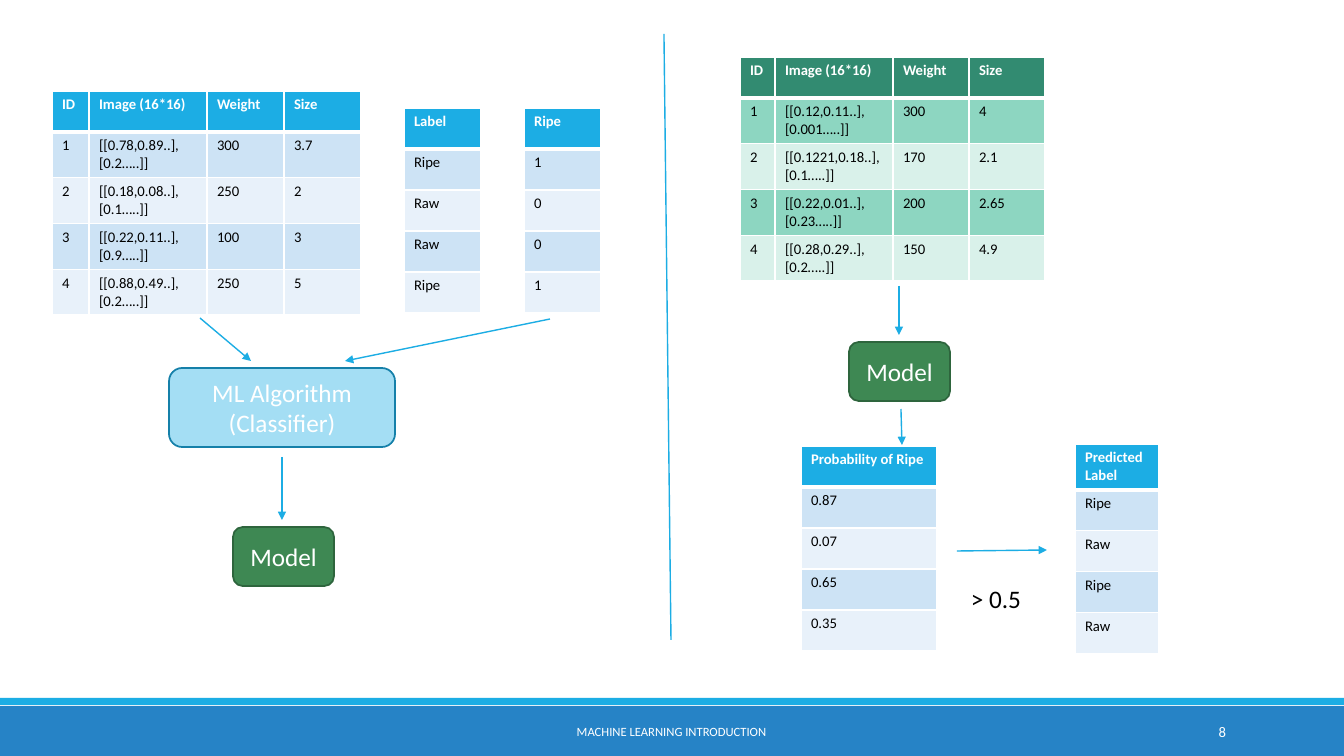
from lxml.etree import SubElement
from pptx import Presentation
from pptx.dml.color import RGBColor
from pptx.enum.shapes import MSO_CONNECTOR as Connector, MSO_SHAPE as Shape
from pptx.enum.text import MSO_ANCHOR as Anchor, PP_ALIGN as Align
from pptx.oxml.ns import qn
from pptx.util import Emu, Pt

WHITE = RGBColor(0xFF, 0xFF, 0xFF)
BLACK = RGBColor(0, 0, 0)
SKY = RGBColor(0x1C, 0xAD, 0xE4)
FOOTER_BLUE = RGBColor(0x26, 0x83, 0xC6)
PALE_SKY = RGBColor(0xA4, 0xDE, 0xF4)
DEEP_SKY = RGBColor(0x15, 0x80, 0xA9)
GREEN = RGBColor(0x3E, 0x88, 0x53)
DEEP_GREEN = RGBColor(0x2E, 0x65, 0x3D)
# Header, odd rows, even rows
BLUE_BANDS = (SKY, RGBColor(0xCD, 0xE3, 0xF5), RGBColor(0xE8, 0xF1, 0xFA))
GREEN_BANDS = (RGBColor(0x32, 0x8B, 0x71), RGBColor(0x8D, 0xD6, 0xC1), RGBColor(0xD9, 0xF1, 0xEA))

FEATURES = ("ID", "Image (16*16)", "Weight", "Size")
TRAINING = [
    FEATURES,
    ("1", "[[0.78,0.89..],\n[0.2…..]]", "300", "3.7"),
    ("2", "[[0.18,0.08..],\n[0.1…..]]", "250", "2"),
    ("3", "[[0.22,0.11..],\n[0.9…..]]", "100", "3"),
    ("4", "[[0.88,0.49..],\n[0.2…..]]", "250", "5"),
]
UNSEEN = [
    FEATURES,
    ("1", "[[0.12,0.11..],\n[0.001…..]]", "300", "4"),
    ("2", "[[0.1221,0.18..],\n[0.1…..]]", "170", "2.1"),
    ("3", "[[0.22,0.01..],\n[0.23…..]]", "200", "2.65"),
    ("4", "[[0.28,0.29..],\n[0.2…..]]", "150", "4.9"),
]
LABELS = [("Label",), ("Ripe",), ("Raw",), ("Raw",), ("Ripe",)]
RIPE_CODES = [("Ripe",), ("1",), ("0",), ("0",), ("1",)]
PROBABILITIES = [("Probability of Ripe",), ("0.87",), ("0.07",), ("0.65",), ("0.35",)]
PREDICTIONS = [("Predicted\nLabel",), ("Ripe",), ("Raw",), ("Ripe",), ("Raw",)]

# Rows, left, top, column widths, band colours
TABLES = [
    (TRAINING, 52, 91, (37, 118, 77, 77), BLUE_BANDS),
    (LABELS, 404, 108, (77,), BLUE_BANDS),
    (RIPE_CODES, 524, 108, (77,), BLUE_BANDS),
    (UNSEEN, 740, 57, (35, 118, 76, 76), GREEN_BANDS),
    (PROBABILITIES, 801, 446, (136,), BLUE_BANDS),
    (PREDICTIONS, 1075, 444, (84,), BLUE_BANDS),
]
# Text, left, top, width, height, fill, outline
STEPS = [
    ("ML Algorithm (Classifier)", 169, 368, 226, 79, PALE_SKY, DEEP_SKY),
    ("Model", 233, 527, 101, 59, GREEN, DEEP_GREEN),
    ("Model", 849, 342, 101, 59, GREEN, DEEP_GREEN),
]
# Start x, start y, end x, end y
ARROWS = [
    (200, 318, 251, 361),
    (550, 319, 345, 361),
    (282, 457, 282, 520),
    (899, 286, 899, 335),
    (901, 409, 902, 445),
    (957, 551, 1047, 550),
]
DIVIDER = (664, 34, 671, 640)
ROW_HEIGHT = 41


def px(length):
    return Emu(round(length * 914400 / 100.8))


def write(frame, text, size=10.5, color=WHITE, bold=False, align=Align.LEFT, anchor=Anchor.TOP):
    frame.text = text
    frame.word_wrap = True
    frame.vertical_anchor = anchor
    for paragraph in frame.paragraphs:
        paragraph.alignment = align
        font = paragraph.font
        for run in paragraph.runs:
            font = run.font
            font.name, font.size, font.bold = "Calibri", Pt(size), bold
            font.color.rgb = color


def add_box(slide, kind, left, top, width, height, fill, outline=None):
    box = slide.shapes.add_shape(kind, px(left), px(top), px(width), px(height))
    box.shadow.inherit = False
    box.fill.solid()
    box.fill.fore_color.rgb = fill
    if outline is None:
        box.line.fill.background()
    else:
        box.line.color.rgb = outline
        box.line.width = Pt(1.25)
    return box


def add_text(slide, text, left, top, width, height, **text_format):
    box = slide.shapes.add_textbox(px(left), px(top), px(width), px(height))
    write(box.text_frame, text, **text_format)


def add_line(slide, ends, arrow=False):
    line = slide.shapes.add_connector(Connector.STRAIGHT, *map(px, ends))
    line.line.color.rgb = SKY
    line.line.width = Pt(1)
    if arrow:
        SubElement(line.line._get_or_add_ln(), qn("a:tailEnd"), type="triangle")
    SubElement(line._element.spPr, qn("a:effectLst"))


def set_borders(cell, row):
    """White rules, with a thicker one between header and body."""
    widths = {"L": 1, "R": 1, "T": 3 if row == 1 else 1, "B": 3 if row == 0 else 1}
    properties = cell._tc.get_or_add_tcPr()
    for side, width in widths.items():
        rule = SubElement(properties, qn(f"a:ln{side}"), w=str(Pt(width)))
        SubElement(SubElement(rule, qn("a:solidFill")), qn("a:srgbClr"), val=str(WHITE))


def add_data_table(slide, rows, left, top, widths, bands):
    table = slide.shapes.add_table(
        len(rows), len(widths), px(left), px(top), px(sum(widths)), px(ROW_HEIGHT * len(rows))
    ).table
    for column, width in zip(table.columns, widths):
        column.width = px(width)
    for r, values in enumerate(rows):
        table.rows[r].height = px(ROW_HEIGHT)
        header = r == 0
        for c, value in enumerate(values):
            cell = table.cell(r, c)
            write(cell.text_frame, value, color=WHITE if header else BLACK, bold=header)
            set_borders(cell, r)
            cell.fill.solid()
            cell.fill.fore_color.rgb = bands[0] if header else bands[2 - r % 2]


def main():
    deck = Presentation()
    deck.slide_width, deck.slide_height = px(1344), px(756)
    slide = deck.slides.add_slide(deck.slide_layouts[6])

    add_box(slide, Shape.RECTANGLE, 0, 706, 1344, 50, FOOTER_BLUE)
    add_box(slide, Shape.RECTANGLE, 0, 698, 1344, 7, SKY)
    for table in TABLES:
        add_data_table(slide, *table)
    for label, *place_and_colors in STEPS:
        step = add_box(slide, Shape.ROUNDED_RECTANGLE, *place_and_colors)
        write(step.text_frame, label, size=18, align=Align.CENTER, anchor=Anchor.MIDDLE)
    for ends in ARROWS:
        add_line(slide, ends, arrow=True)
    add_line(slide, DIVIDER)

    add_text(slide, "> 0.5", 961, 578, 87, 40, size=18, color=BLACK)
    add_text(slide, "MACHINE LEARNING INTRODUCTION", 406, 712, 531, 40,
             size=9, align=Align.CENTER, anchor=Anchor.MIDDLE)
    add_text(slide, "8", 1092, 712, 144, 40, align=Align.RIGHT, anchor=Anchor.MIDDLE)
    deck.save("out.pptx")


if __name__ == "__main__":
    main()
